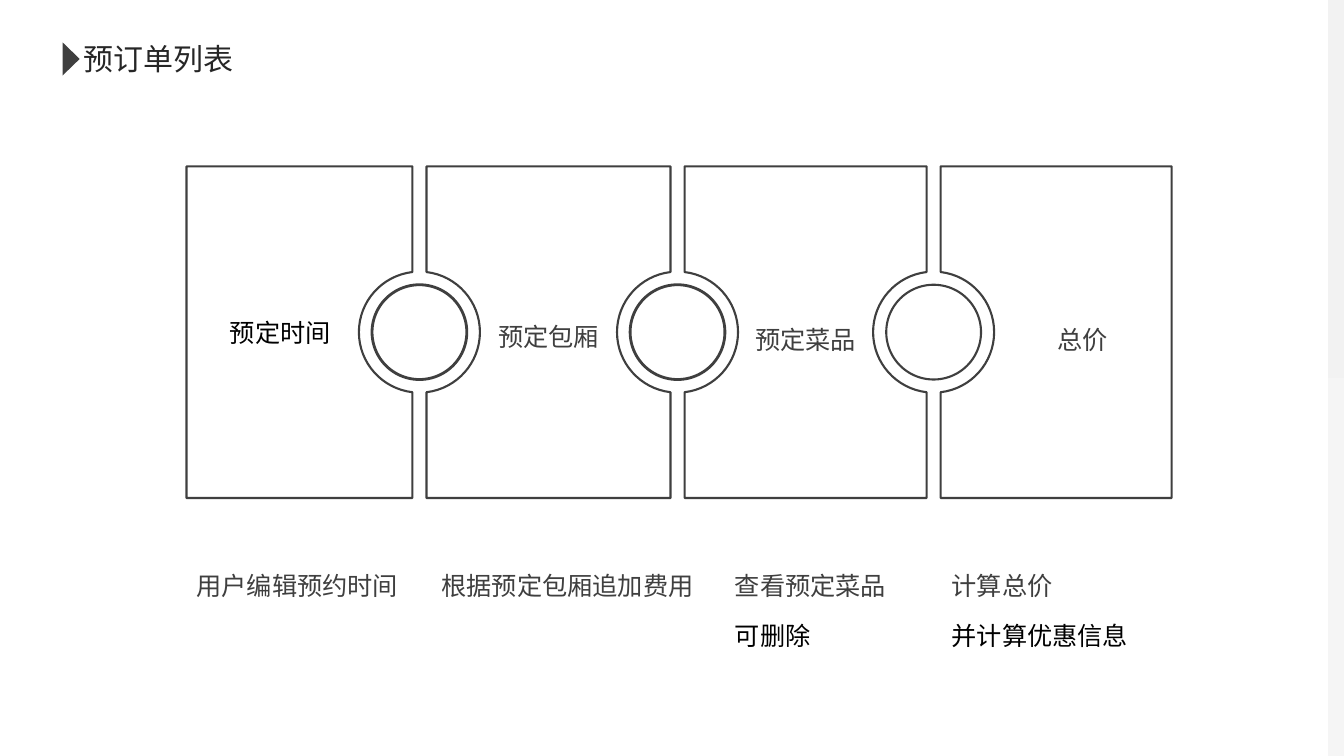
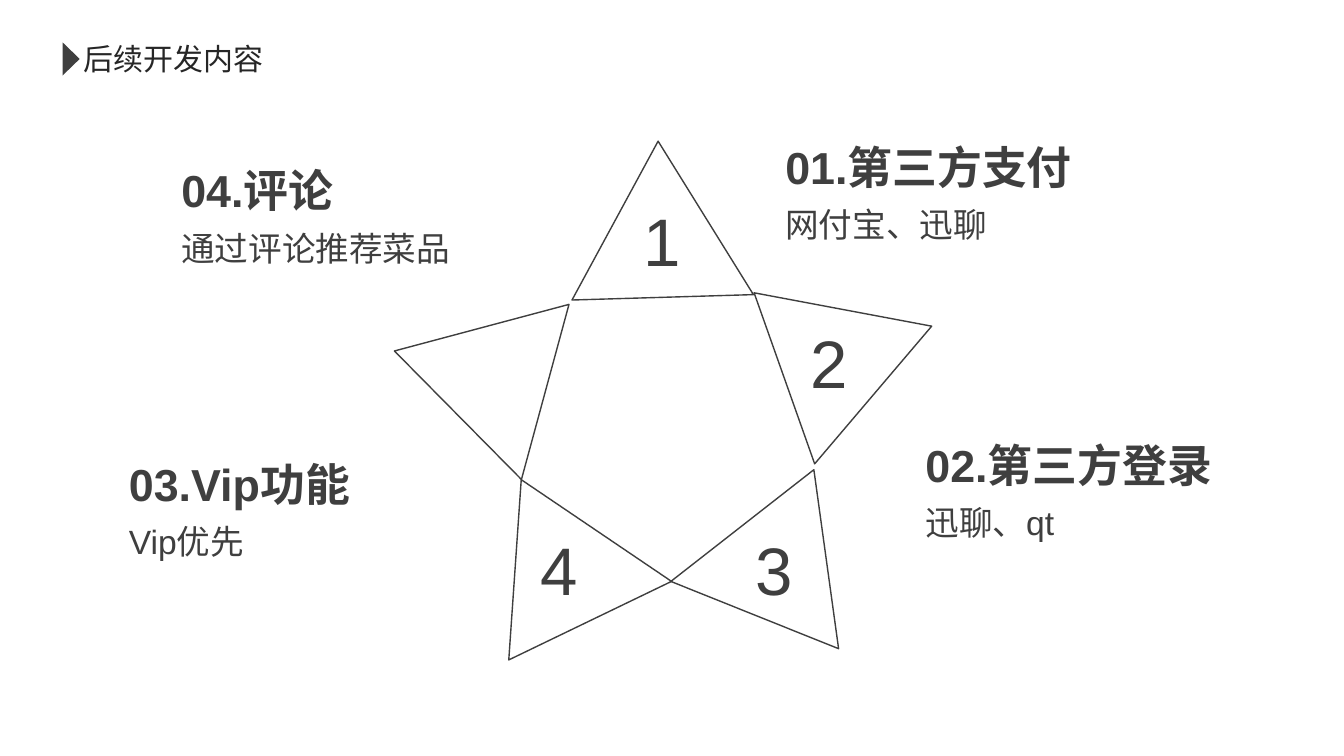
from math import acos, cos, sin, tan

from lxml import etree
from pptx import Presentation
from pptx.dml.color import RGBColor
from pptx.enum.shapes import MSO_SHAPE
from pptx.enum.text import MSO_ANCHOR, MSO_AUTO_SIZE, PP_ALIGN
from pptx.oxml.ns import qn
from pptx.util import Inches, Pt

RECT = MSO_SHAPE.RECTANGLE
OVAL = MSO_SHAPE.OVAL
TRI = MSO_SHAPE.ISOSCELES_TRIANGLE
TOP, MIDDLE = MSO_ANCHOR.TOP, MSO_ANCHOR.MIDDLE
LEFT, CENTER = PP_ALIGN.LEFT, PP_ALIGN.CENTER
FIXED = MSO_AUTO_SIZE.NONE
COLORS = {"ink": "3F3F3F", "title": "262626", "black": "000000",
          "edge": "F2F2F2", "fade": "F5F5F5", "page": "FFFFFF"}
LATIN, HAN = "Arial", "Noto Sans CJK SC"
WIDE, HIGH = 13.33, 7.5


def color(name):
    return RGBColor.from_string(COLORS[name])


def style(para, size, tone="ink", bold=False, face=HAN):
    for run in para.runs:
        font = run.font
        font.size, font.bold = Pt(size), bold
        font.color.rgb = color(tone)
        font.name = face
        etree.SubElement(font._element, qn("a:ea"), typeface=HAN)


def inset(frame, left, top, right, low):
    frame.margin_left, frame.margin_top = Inches(left), Inches(top)
    frame.margin_right, frame.margin_bottom = Inches(right), Inches(low)


def write(slide, box, lines, gap=0):
    frame = slide.shapes.add_textbox(*map(Inches, box)).text_frame
    frame.word_wrap = True
    frame.text = "\n".join(line[0] for line in lines)
    for num, (para, line) in enumerate(zip(frame.paragraphs, lines)):
        style(para, *line[1:])
        if num:
            para.space_before = Pt(gap)


def paint(item, fill=None, width=None):
    item.shadow.inherit = False
    if fill:
        item.fill.solid()
        item.fill.fore_color.rgb = color(fill)
    else:
        item.fill.background()
    if width:
        item.line.color.rgb = color("ink")
        item.line.width = Pt(width)
    else:
        item.line.fill.background()


def shape(slide, kind, box, fill=None, width=None, turn=0):
    item = slide.shapes.add_shape(kind, *map(Inches, box))
    item.rotation = turn
    paint(item, fill, width)
    return item


def back(slide, wide, fill):
    item = shape(slide, RECT, (0, 0, wide, HIGH), fill)
    slide.shapes._spTree.insert(2, item._element)
    return item


def shade(slide):
    fill = back(slide, WIDE, "edge").fill
    fill.gradient()
    fill.gradient_angle = 270
    for stop, name in zip(fill.gradient_stops, ("edge", "fade")):
        stop.color.rgb = color(name)


def start(deck, text, page):
    slide = deck.slides.add_slide(deck.slide_layouts[5])
    title = slide.shapes.title
    title.left, title.top = Inches(0.73), Inches(0.35)
    title.width, title.height = Inches(2.2), Inches(0.46)
    frame = title.text_frame
    frame.text = text
    frame.auto_size, frame.vertical_anchor = FIXED, TOP
    inset(frame, 0.1, 0.05, 0.1, 0.05)
    frame.paragraphs[0].alignment = LEFT
    style(frame.paragraphs[0], 21.4, "title")
    shape(slide, TRI, (0.54, 0.5, 0.33, 0.17), "ink", turn=90)
    back(slide, page, "page")
    return slide


def bite(hub, mid, side, gap, radius):
    turn = acos(gap / radius)
    pull = 4 / 3 * tan(turn / 4)
    x, y = cos(turn), sin(turn)
    near = (x + pull * y, y - pull * x)
    half = [(x, y), near, (1, pull), (1, 0)]
    unit = half + [(a, -b) for a, b in half[-2::-1]]
    return [(hub + side * radius * a, mid + side * radius * b)
            for a, b in unit]


def bend(item, first):
    steps = list(item._element.iter(qn("a:path")))[0]
    for group in [steps[first:first + 3], steps[first + 3:first + 6]]:
        curve = etree.Element(qn("a:cubicBezTo"))
        group[0].addprevious(curve)
        for step in group:
            curve.append(step[0])
            steps.remove(step)


def panel(slide, box, cuts, label, pads, tone, space):
    left, top, wide, high = box
    right, low, mid = left + wide, top + high, top + high / 2
    gap, radius = 0.07, 0.6
    dots, bends = [(left, top), (right, top)], []
    if cuts[1]:
        bends.append(len(dots) + 1)
        dots += bite(right + gap, mid, -1, gap, radius)
    dots += [(right, low), (left, low)]
    if cuts[0]:
        bends.append(len(dots) + 1)
        dots += bite(left - gap, mid, 1, gap, radius)
    dots = [(Inches(x), Inches(y)) for x, y in dots]
    pen = slide.shapes.build_freeform(*dots[0])
    pen.add_line_segments(dots[1:], close=True)
    item = pen.convert_to_shape()
    for first in reversed(bends):
        bend(item, first)
    paint(item, width=1.5)
    frame = item.text_frame
    frame.word_wrap, frame.vertical_anchor = True, MIDDLE
    inset(frame, pads[0], 0.05, pads[1], 0.05)
    frame.text = label
    para = frame.paragraphs[0]
    para.alignment, para.line_spacing = CENTER, space
    style(para, 18, tone)


def chain(slide, top, high):
    hubs = [1.78, 4.16, 6.72, 9.26, 11.69]
    parts = [("预定时间", (0.32, 0.7), "black", 1.0),
             ("预定包厢", (0.66, 0.66), "ink", 1.25),
             ("预定菜品", (0.66, 0.66), "ink", 1.5),
             ("总价", (0.79, 0.26), "ink", 1.5)]
    last = len(parts) - 1
    for num, part in enumerate(parts):
        box = (hubs[num] + 0.07, top, hubs[num + 1] - hubs[num] - 0.14, high)
        panel(slide, box, (num > 0, num < last), *part)
    size = 0.94
    for hub, width in zip(hubs[1:-1], (2, 2, 1.5)):
        box = (hub - size / 2, top + (high - size) / 2, size, size)
        shape(slide, OVAL, box, width=width)


def notes(slide, top):
    for left, wide, *lines in [
            (1.85, 2.4, "用户编辑预约时间"),
            (4.28, 2.9, "根据预定包厢追加费用"),
            (7.19, 2.1, "查看预定菜品", "可删除"),
            (9.34, 2.4, "计算总价", "并计算优惠信息")]:
        rows = [(text, 18, tone) for text, tone in zip(lines, ("ink", "black"))]
        write(slide, (left, top, wide, 0.4 * len(rows)), rows, 14)


def star(slide, left, top):
    for across, down, turn in [(1.89, 0, 358.3), (3.85, 1.32, 70.5),
                               (3.18, 3.65, 142), (0.82, 3.73, 214.1),
                               (0, 1.51, 285.2)]:
        box = (left + across, top + down, 1.8, 1.55)
        shape(slide, TRI, box, width=1, turn=turn)
    for mark, across, down in [("1", 2.52, 0.53), ("2", 4.18, 1.74),
                               ("3", 3.64, 3.79), ("4", 1.5, 3.79)]:
        box = (left + across, top + down, 0.54, 0.91)
        write(slide, box, [(mark, 48, "ink", False, LATIN)])


def plan(slide, left, top, head, text):
    write(slide, (left, top, 4.12, 1.14),
          [(head, 32, "ink", True, LATIN), (text, 24, "ink", False, LATIN)], 7.5)


def order(deck):
    slide = start(deck, "预订单列表", 13.17)
    shade(slide)
    chain(slide, 1.65, 3.29)
    notes(slide, 5.61)


def future(deck):
    slide = start(deck, "后续开发内容", WIDE)
    star(slide, 3.76, 1.4)
    for item in [(7.69, 1.34, "01.第三方支付", "网付宝、迅聊"),
                 (9.08, 4.29, "02.第三方登录", "迅聊、qt"),
                 (1.18, 4.48, "03.Vip功能", "Vip优先"),
                 (1.7, 1.57, "04.评论", "通过评论推荐菜品")]:
        plan(slide, *item)


def main():
    deck = Presentation()
    deck.slide_width, deck.slide_height = Inches(WIDE), Inches(HIGH)
    order(deck)
    future(deck)
    deck.save("out.pptx")


if __name__ == "__main__":
    main()
